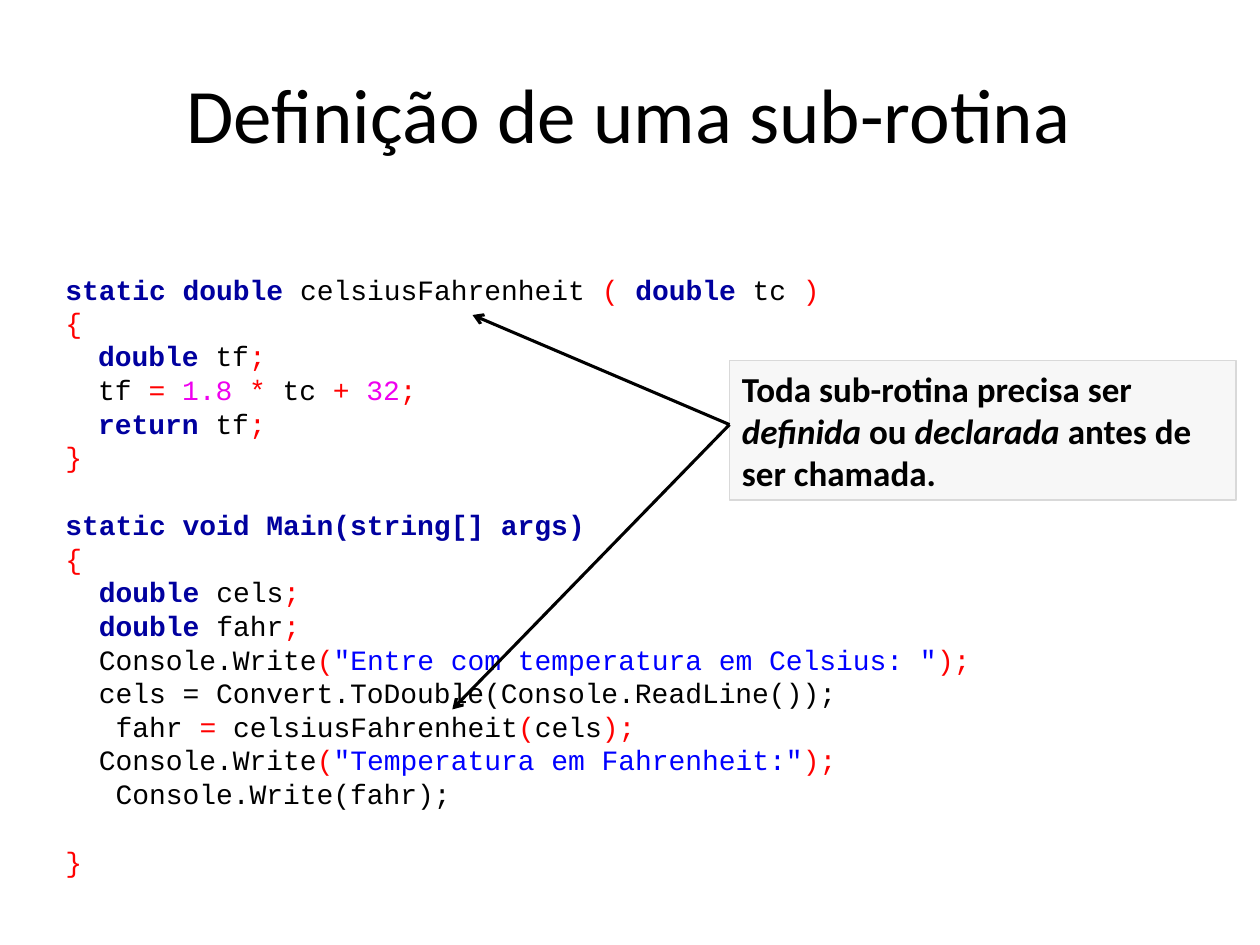
import pptx
import pptx.dml.color
import pptx.enum.shapes
import pptx.enum.text
import pptx.oxml
import pptx.oxml.ns
import pptx.util
from pptx.util import Inches

RGBColor = pptx.dml.color.RGBColor
BLACK = RGBColor(0, 0, 0)
KEYWORD = RGBColor(0x00, 0x00, 0x9F)
SYMBOL = RGBColor(0xFF, 0x00, 0x00)
NUMBER = RGBColor(0xEF, 0x00, 0xEF)
STRING = RGBColor(0x00, 0x00, 0xFF)
CALLOUT_FILL = RGBColor(0xF7, 0xF7, 0xF7)
CALLOUT_LINE = RGBColor(0xD9, 0xD9, 0xD9)

CODE_LEFT = 0.51


def add_run(paragraph, text, font="Calibri", size=16, color=BLACK, bold=False, italic=False):
    run = paragraph.add_run()
    run.text = text
    run.font.name = font
    run.font.size = pptx.util.Pt(size)
    run.font.color.rgb = color
    run.font.bold = bold
    run.font.italic = italic


def set_frame(shape, left=0.01, top=0.02):
    frame = shape.text_frame
    frame.word_wrap = True
    frame.vertical_anchor = pptx.enum.text.MSO_ANCHOR.TOP
    frame.margin_left, frame.margin_top = Inches(left), Inches(top)
    frame.margin_right = frame.margin_bottom = 0
    return frame


def add_text_box(slide, left, top, width, height):
    box = slide.shapes.add_textbox(Inches(left), Inches(top), Inches(width), Inches(height))
    return set_frame(box)


def add_code(slide, lines, left, top, width, height, line_spacing=None):
    """Each line is a list of (text, color) tokens; keywords are bold."""
    frame = add_text_box(slide, left, top, width, height)
    for index, tokens in enumerate(lines):
        paragraph = frame.add_paragraph() if index else frame.paragraphs[0]
        paragraph.line_spacing = line_spacing
        for text, color in tokens:
            add_run(paragraph, text, font="Courier New", color=color, bold=color == KEYWORD)


def add_callout(slide, parts, left, top, width, height):
    """Each part is a (text, italic) pair."""
    box = slide.shapes.add_shape(
        pptx.enum.shapes.MSO_SHAPE.RECTANGLE,
        Inches(left), Inches(top), Inches(width), Inches(height))
    box.shadow.inherit = False
    box.fill.solid()
    box.fill.fore_color.rgb = CALLOUT_FILL
    box.line.color.rgb = CALLOUT_LINE
    box.line.width = pptx.util.Pt(0.75)
    paragraph = set_frame(box, left=0.1, top=0.06).paragraphs[0]
    paragraph.alignment = pptx.enum.text.PP_ALIGN.LEFT
    for text, italic in parts:
        add_run(paragraph, text, size=20, bold=True, italic=italic)


def add_arrow(slide, start, end):
    arrow = slide.shapes.add_connector(
        pptx.enum.shapes.MSO_CONNECTOR.STRAIGHT, *map(Inches, start + end))
    arrow.line.color.rgb = BLACK
    arrow.line.width = pptx.util.Pt(1.75)
    head = pptx.oxml.parse_xml(
        f'<a:tailEnd {pptx.oxml.ns.nsdecls("a")} type="arrow"/>')
    arrow.line._get_or_add_ln().append(head)
    effects = pptx.oxml.parse_xml(f'<a:effectLst {pptx.oxml.ns.nsdecls("a")}/>')
    arrow._element.spPr.append(effects)


def declaration(name, indent=""):
    return [(indent + "double ", KEYWORD), (name, BLACK), (";", SYMBOL)]


def write_call(text):
    return [("  Console.Write", BLACK), ("(", SYMBOL), (text, STRING), (");", SYMBOL)]


def main():
    presentation = pptx.Presentation()
    presentation.slide_width, presentation.slide_height = Inches(10), Inches(7.5)
    slide = presentation.slides.add_slide(presentation.slide_layouts[6])

    # Title
    title = add_text_box(slide, 1.47, 0.51, 7.2, 0.76)
    add_run(title.paragraphs[0], "Definição de uma sub-rotina", size=44)

    # Subroutine definition
    opening, closing = [("{", SYMBOL)], [("}", SYMBOL)]
    signature = [("static double ", KEYWORD), ("celsiusFahrenheit ", BLACK), ("( ", SYMBOL),
                 ("double ", KEYWORD), ("tc ", BLACK), (")", SYMBOL)]
    conversion = [("tf ", BLACK), ("= ", SYMBOL), ("1.8 ", NUMBER), ("* ", SYMBOL),
                  ("tc ", BLACK), ("+ ", SYMBOL), ("32", NUMBER), (";", SYMBOL)]
    result = [("return ", KEYWORD), ("tf", BLACK), (";", SYMBOL)]
    add_code(slide, [signature, opening], CODE_LEFT, 2.14, 6.05, 0.56)
    add_code(slide, [declaration("tf"), conversion, result], 0.77, 2.67, 2.9, 0.83)
    add_code(slide, [closing], CODE_LEFT, 3.47, 0.16, 0.3)

    # Main program
    program = [
        [("static void Main(string[] args)", KEYWORD)],
        opening,
        declaration("cels", indent="  "),
        declaration("fahr", indent="  "),
        write_call('"Entre com temperatura em Celsius: "'),
        [("  cels = Convert.ToDouble(Console.ReadLine());", BLACK)],
        [("   fahr ", BLACK), ("= ", SYMBOL), ("celsiusFahrenheit", BLACK),
         ("(", SYMBOL), ("cels", BLACK), (");", SYMBOL)],
        write_call('"Temperatura em Fahrenheit:"'),
        [("   Console.Write(fahr);", BLACK)],
    ]
    add_code(slide, program, CODE_LEFT, 4.01, 7.25, 2.43)
    add_code(slide, [closing], CODE_LEFT, 6.71, 0.16, 0.28, line_spacing=pptx.util.Pt(17.5))

    # Callout pointing at the definition and at the call
    parts = [("Toda sub-rotina precisa ser ", False), ("definida ", True), ("ou ", False),
             ("declarada ", True), ("antes de ser chamada.", False)]
    add_callout(slide, parts, 5.79, 2.86, 4.02, 1.11)
    for target in [(3.75, 2.5), (3.59, 5.63)]:
        add_arrow(slide, (5.79, 3.37), target)

    presentation.save("out.pptx")


if __name__ == "__main__":
    main()
